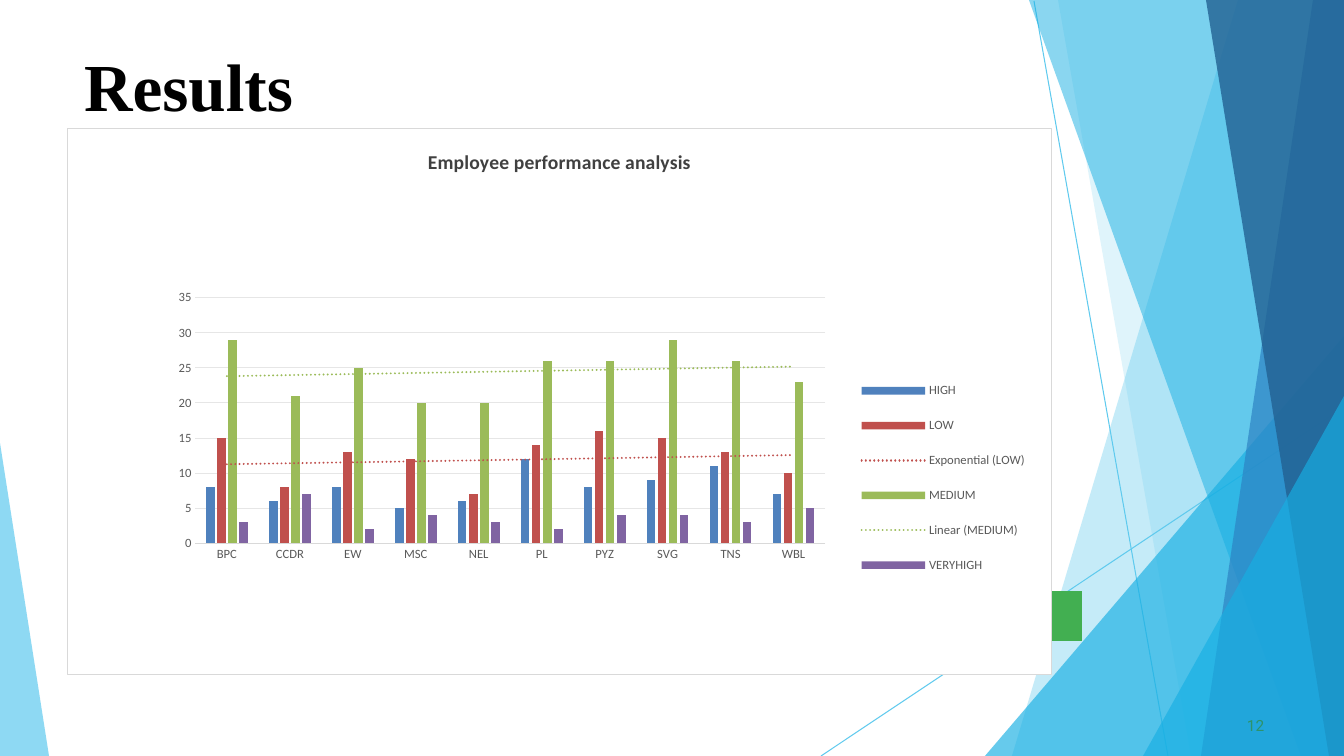
from typing import NamedTuple

from lxml import etree
from pptx import Presentation, util as u
from pptx.chart.data import CategoryChartData
from pptx.dml.color import RGBColor
from pptx.enum import chart as chart_enum, shapes as shape_enum, text as text_enum
from pptx.oxml import parse_xml
from pptx.oxml.ns import nsdecls, qn

PX = u.Inches(1) / 100.8
WIDTH, HEIGHT = 1344, 756
TITLE_ONLY = 5
GREY, RULE, GRID = "595959", "D9D9D9", "E6E6E6"


class Facet(NamedTuple):
    points: list[tuple[int, int]]
    fill: str
    opacity: int = 100


class Ray(NamedTuple):
    start: tuple[int, int]
    end: tuple[int, int]


class Level(NamedTuple):
    name: str
    values: list[int]
    fill: str
    trend: str = ""


CORNER = (WIDTH, HEIGHT)
TOP_RIGHT = (WIDTH, 0)

RAYS = [Ray((1034, 1), (1168, 756)), Ray((1344, 407), (821, 756))]

FACETS = [
    Facet([TOP_RIGHT, (1238, 0), (1012, 756), CORNER], "5FCAEE", 36),
    Facet([TOP_RIGHT, (1058, 0), (1191, 756), CORNER], "5FCAEE", 20),
    Facet([(1344, 336), (985, 756), CORNER], "17AFE3", 66),
    Facet([TOP_RIGHT, (1029, 0), (1301, 756), CORNER], "17AFE3", 50),
    Facet([TOP_RIGHT, (1313, 0), (1201, 756), CORNER], "2D83C3", 70),
    Facet([TOP_RIGHT, (1206, 0), (1329, 756), CORNER], "226192", 80),
    Facet([(1344, 396), (1143, 756), CORNER], "17AFE3", 66),
    Facet([(0, 443), (0, 756), (49, 756)], "5FCAEE", 70),
    Facet([(1082, 591), (1031, 591), (1031, 641), (1082, 641)], "42AF51"),
]

UNITS = ["BPC", "CCDR", "EW", "MSC", "NEL", "PL", "PYZ", "SVG", "TNS", "WBL"]
LEVELS = [
    Level("HIGH", [8, 6, 8, 5, 6, 12, 8, 9, 11, 7], "4F81BD"),
    Level("LOW", [15, 8, 13, 12, 7, 14, 16, 15, 13, 10], "C0504D", "exp"),
    Level("MEDIUM", [29, 21, 25, 20, 20, 26, 26, 29, 26, 23], "9BBB59", "linear"),
    Level("VERYHIGH", [3, 7, 2, 4, 3, 2, 4, 4, 3, 5], "8064A2"),
]


def px(length: int) -> u.Emu:
    return u.Emu(round(length * PX))


def colour(value: str) -> RGBColor:
    return RGBColor.from_string(value)


def set_font(font, size: float, value: str, name: str = "Calibri", bold: bool = False) -> None:
    font.size = u.Pt(size)
    font.name = name
    font.bold = bold
    font.color.rgb = colour(value)


def write_text(frame, value: str, *, size: float, fill: str, name: str, bold: bool = False) -> None:
    paragraph = frame.paragraphs[0]
    paragraph.alignment = text_enum.PP_ALIGN.LEFT
    run = paragraph.add_run()
    run.text = value
    set_font(run.font, size, fill, name, bold)


def place(shape, left: int, top: int, width: int, height: int) -> None:
    shape.left, shape.top = px(left), px(top)
    shape.width, shape.height = px(width), px(height)


def prepare_frame(frame) -> None:
    frame.word_wrap = True
    frame.auto_size = text_enum.MSO_AUTO_SIZE.NONE
    frame.vertical_anchor = text_enum.MSO_ANCHOR.TOP
    frame.margin_left = frame.margin_right = frame.margin_bottom = 0
    frame.margin_top = px(2)


def draw_ray(slide, ray: Ray) -> None:
    connector = slide.shapes.add_connector(
        shape_enum.MSO_CONNECTOR.STRAIGHT, *map(px, ray.start + ray.end))
    connector.line.color.rgb = colour("5FCAEE")
    connector.line.width = u.Pt(0.75)
    etree.SubElement(connector.element.spPr, qn("a:effectLst"))


def draw_facet(slide, facet: Facet) -> None:
    builder = slide.shapes.build_freeform(*facet.points[0], scale=PX)
    builder.add_line_segments(facet.points[1:], close=True)
    shape = builder.convert_to_shape()
    shape.shadow.inherit = False
    shape.line.fill.background()
    shape.fill.solid()
    shape.fill.fore_color.rgb = colour(facet.fill)
    if facet.opacity < 100:
        tint = shape.element.xpath("./p:spPr/a:solidFill/a:srgbClr")[0]
        etree.SubElement(tint, qn("a:alpha")).set("val", str(facet.opacity * 1000))


def set_layout(parent, index: int, x: float, y: float, w: float, h: float, inner: bool = False) -> None:
    for old in parent.findall(qn("c:layout")):
        parent.remove(old)
    target = '<c:layoutTarget val="inner"/>' if inner else ""
    parent.insert(index, parse_xml(
        f'<c:layout {nsdecls("c")}><c:manualLayout>{target}'
        '<c:xMode val="edge"/><c:yMode val="edge"/>'
        f'<c:x val="{x}"/><c:y val="{y}"/><c:w val="{w}"/><c:h val="{h}"/>'
        '</c:manualLayout></c:layout>'))


def add_trend(series, level: Level) -> None:
    trend = parse_xml(
        f'<c:trendline {nsdecls("c", "a")}><c:spPr><a:ln w="19050" cap="rnd">'
        f'<a:solidFill><a:srgbClr val="{level.fill}"/></a:solidFill>'
        f'<a:prstDash val="sysDot"/></a:ln></c:spPr><c:trendlineType val="{level.trend}"/>'
        '<c:dispRSqr val="0"/><c:dispEq val="0"/></c:trendline>')
    series._element.find(qn("c:cat")).addprevious(trend)


def style_axes(chart) -> None:
    for axis in (chart.category_axis, chart.value_axis):
        axis.major_tick_mark = axis.minor_tick_mark = chart_enum.XL_TICK_MARK.NONE
        set_font(axis.tick_labels.font, 9, GREY)
    category_line = chart.category_axis.format.line
    category_line.color.rgb = colour(RULE)
    category_line.width = u.Pt(0.75)
    values = chart.value_axis
    values.minimum_scale, values.maximum_scale, values.major_unit = 0, 35, 5
    values.format.line.fill.background()
    values.has_major_gridlines = True
    values.major_gridlines.format.line.color.rgb = colour(GRID)
    values.major_gridlines.format.line.width = u.Pt(0.75)


def draw_chart(slide) -> None:
    data = CategoryChartData()
    data.categories = UNITS
    for level in LEVELS:
        data.add_series(level.name, level.values)
    chart = slide.shapes.add_chart(
        chart_enum.XL_CHART_TYPE.COLUMN_CLUSTERED, *map(px, (67, 128, 985, 547)), data).chart
    set_font(chart.font, 10, "000000")
    chart.has_title = True
    write_text(chart.chart_title.text_frame, "Employee performance analysis",
               size=14, fill="404040", name="Calibri", bold=True)
    chart.chart_title.include_in_layout = False
    plot = chart.plots[0]
    plot.gap_width, plot.overlap = 246, -28
    plot.vary_by_categories = False
    for series, level in zip(plot.series, LEVELS):
        series.format.fill.solid()
        series.format.fill.fore_color.rgb = colour(level.fill)
        if level.trend:
            add_trend(series, level)
    style_axes(chart)
    chart.has_legend = True
    chart.legend.position = chart_enum.XL_LEGEND_POSITION.RIGHT
    chart.legend.include_in_layout = False
    set_font(chart.legend.font, 9, GREY)
    set_layout(chart.element.xpath(".//c:plotArea")[0], 0, 0.13, 0.31, 0.64, 0.45, inner=True)
    set_layout(chart.element.xpath(".//c:legend")[0], 1, 0.8, 0.43, 0.18, 0.42)
    chart.element.find(qn("c:chart")).addnext(parse_xml(
        f'<c:spPr {nsdecls("c", "a")}><a:solidFill><a:srgbClr val="FFFFFF"/></a:solidFill>'
        f'<a:ln w="9525"><a:solidFill><a:srgbClr val="{RULE}"/></a:solidFill></a:ln></c:spPr>'))


def main() -> None:
    presentation = Presentation()
    presentation.slide_width, presentation.slide_height = px(WIDTH), px(HEIGHT)
    slide = presentation.slides.add_slide(presentation.slide_layouts[TITLE_ONLY])
    for ray in RAYS:
        draw_ray(slide, ray)
    for facet in FACETS:
        draw_facet(slide, facet)
    title = slide.shapes.title
    place(title, 84, 42, 1177, 83)
    prepare_frame(title.text_frame)
    write_text(title.text_frame, "Results", size=48, fill="000000", name="Times New Roman", bold=True)
    number = slide.shapes.add_textbox(*map(px, (1247, 714, 25, 21)))
    prepare_frame(number.text_frame)
    write_text(number.text_frame, "12", size=11, fill="2D936B", name="Roboto")
    draw_chart(slide)
    presentation.save("out.pptx")


if __name__ == "__main__":
    main()
